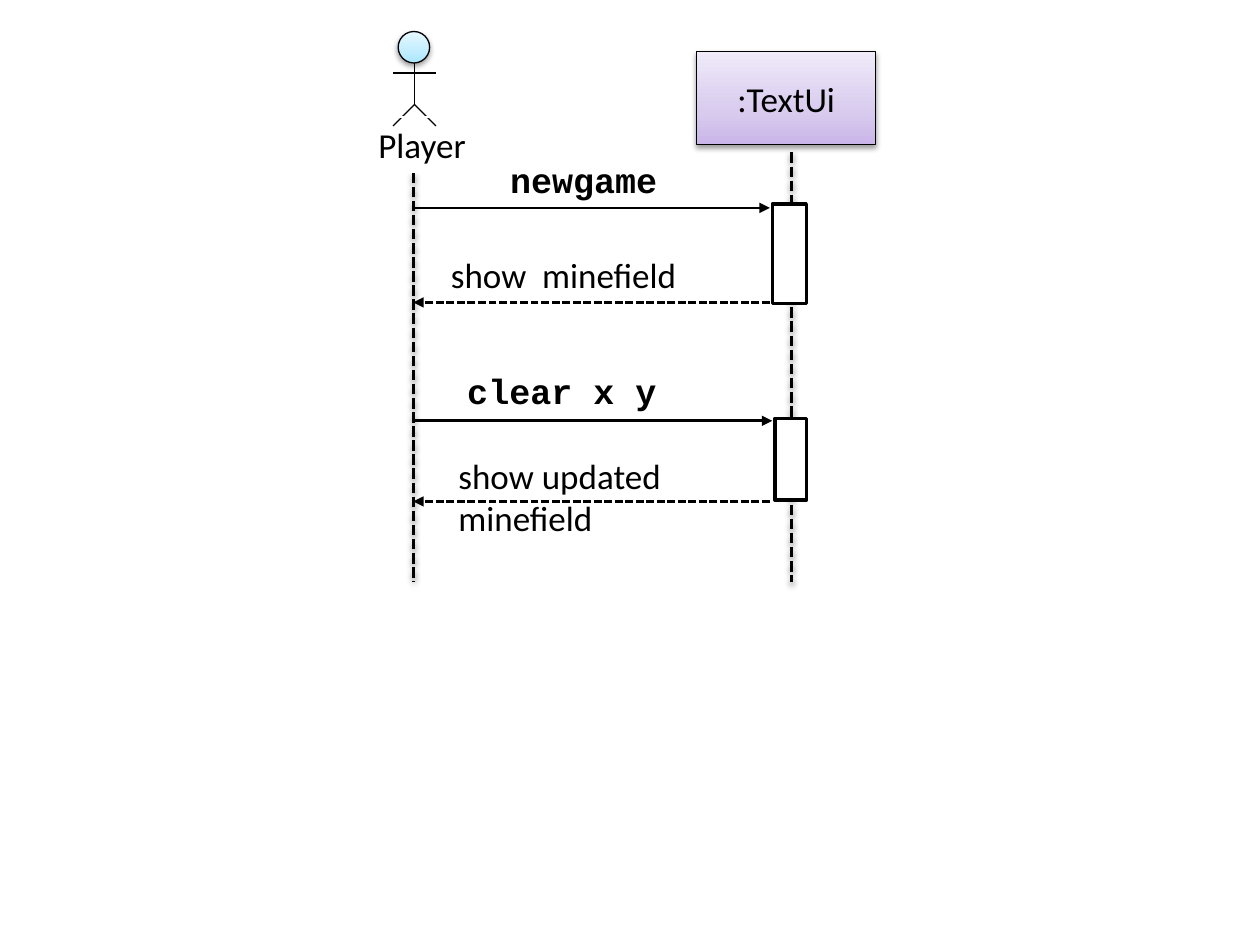
"""Draw the sequence diagram between the player and the text interface."""
from dataclasses import dataclass
from copy import deepcopy
from typing import Any, NamedTuple

from lxml import etree
from pptx import Presentation, util as u
from pptx.dml.color import RGBColor
from pptx.enum import dml, shapes, text
from pptx.oxml.ns import qn

SLIDE_WIDTH, SLIDE_HEIGHT = u.Inches(10), u.Inches(7.5)
COLUMNS, ROWS = 100, 75


@dataclass(frozen=True)
class Theme:
    """Colours, fonts and sizes of the diagram."""
    ink: str = "000000"
    paper: str = "FFFFFF"
    violet: tuple[str, ...] = ("C9B5E8", "D8CBEE", "F0EAF9")
    sky: tuple[str, ...] = ("A7E6FF", "C1EDFF", "E7F8FF")
    stops: tuple[float, ...] = (0, 0.35, 1)
    body: str = "Calibri"
    code: str = "Courier New"
    size: float = 20
    thin: float = 0.75
    medium: float = 1.5
    thick: float = 2


class Box(NamedTuple):
    """Left, top, width and height in grid units."""
    left: float
    top: float
    width: float
    height: float


class Message(NamedTuple):
    """One arrow and its label."""
    words: str
    label: Box
    start: float
    end: float
    row: float
    is_reply: bool


THEME = Theme()
PLAYER, INTERFACE = 32.8, 62.8
NECK = 32.9
LIFELINES = [(INTERFACE, 12.1), (PLAYER, 13.7)]
LIFELINE_END = 46.2
MESSAGES = [
    Message("newgame", Box(39.5, 12.1, 15.8, 4.4), PLAYER, 61.1, 16.5, False),
    Message("show  minefield", Box(34.8, 19.6, 20, 4.4), 61.1, PLAYER, 24, True),
    Message("clear x y", Box(36.1, 28.8, 30.1, 4.4), PLAYER, 61.3, 33.4, False),
    Message("show updated minefield", Box(35.4, 35.6, 24.7, 7.7), 61.1, PLAYER, 39.8, True),
]
ACTIVATIONS = [Box(61.3, 16.2, 2.7, 7.9), Box(61.5, 33.2, 2.5, 6.5)]
LIMBS = [
    (NECK, 4.1, NECK, 8.3),
    (NECK - 1.7, 5.8, NECK + 1.7, 5.8),
    (NECK, 8.3, NECK - 1.7, 10),
    (NECK, 8.3, NECK + 1.7, 10),
]


def column(count: float) -> int:
    """Return a horizontal length."""
    return round(SLIDE_WIDTH * count / COLUMNS)


def row(count: float) -> int:
    """Return a vertical length."""
    return round(SLIDE_HEIGHT * count / ROWS)


def place(box: Box) -> tuple[int, int, int, int]:
    """Return the position and size of a box on the slide."""
    return column(box.left), row(box.top), column(box.width), row(box.height)


def apply(target: Any, values: dict[str, Any]) -> None:
    """Set each named attribute of the target."""
    for name, value in values.items():
        setattr(target, name, value)


def set_effects(shape: Any, has_shadow: bool) -> None:
    """Give the shape a soft shadow below it, or none."""
    effects = etree.SubElement(shape._element.spPr, qn("a:effectLst"))
    if has_shadow:
        shadow = etree.SubElement(effects, qn("a:outerShdw"), blurRad="40000",
                                  dist="20000", dir="5400000", rotWithShape="0")
        color = etree.SubElement(shadow, qn("a:srgbClr"), val=THEME.ink)
        etree.SubElement(color, qn("a:alpha"), val="38000")


def set_line(shape: Any, width: float, color: str = THEME.ink) -> None:
    """Set the outline of a shape or connector."""
    shape.line.color.rgb = RGBColor.from_string(color)
    shape.line.width = u.Pt(width)


def set_gradient(shape: Any, colors: tuple[str, ...]) -> None:
    """Fill the shape with three colours from bottom to top."""
    shape.fill.gradient()
    shape.fill.gradient_angle = 90
    stop_list = shape._element.spPr.find(".//" + qn("a:gsLst"))
    stop_list.append(deepcopy(stop_list[-1]))
    for stop, position, color in zip(shape.fill.gradient_stops, THEME.stops, colors):
        stop.position = position
        stop.color.rgb = RGBColor.from_string(color)


def add_line(parent: Any, ends: tuple[float, float, float, float], width: float,
             is_dashed: bool = False, has_arrow: bool = False, has_shadow: bool = False) -> None:
    """Draw a straight line between two grid points."""
    left, top, right, bottom = ends
    line = parent.add_connector(shapes.MSO_CONNECTOR.STRAIGHT, column(left), row(top),
                                column(right), row(bottom))
    set_line(line, width)
    if is_dashed:
        line.line.dash_style = dml.MSO_LINE.SQUARE_DOT
    if has_arrow:
        etree.SubElement(line.line._get_or_add_ln(), qn("a:tailEnd"), type="triangle")
    set_effects(line, has_shadow)


def add_shape(parent: Any, box: Box, kind: Any, fill: str | tuple[str, ...] | None,
              width: float, line: str = THEME.ink) -> Any:
    """Draw a preset shape; a gradient fill brings a shadow."""
    shape = parent.add_shape(kind, *place(box))
    if fill is None:
        shape.fill.background()
    elif isinstance(fill, str):
        shape.fill.solid()
        shape.fill.fore_color.rgb = RGBColor.from_string(fill)
    else:
        set_gradient(shape, fill)
    set_line(shape, width, line)
    set_effects(shape, isinstance(fill, tuple))
    return shape


def write(shape: Any, words: str, is_code: bool = False, is_centred: bool = False,
          anchor: Any = text.MSO_ANCHOR.TOP) -> None:
    """Write one formatted paragraph in the shape."""
    frame = shape.text_frame
    apply(frame, {"word_wrap": True, "vertical_anchor": anchor, "text": words})
    paragraph = frame.paragraphs[0]
    paragraph.alignment = text.PP_ALIGN.CENTER if is_centred else text.PP_ALIGN.LEFT
    apply(paragraph.runs[0].font, {"name": THEME.code if is_code else THEME.body,
                                   "size": u.Pt(THEME.size), "bold": is_code})
    paragraph.runs[0].font.color.rgb = RGBColor.from_string(THEME.ink)


def add_message(parent: Any, message: Message) -> None:
    """Draw an arrow with its label."""
    add_line(parent, (message.start, message.row, message.end, message.row), THEME.medium,
             is_dashed=message.is_reply, has_arrow=True)
    write(parent.add_textbox(*place(message.label)), message.words, is_code=not message.is_reply)


def add_player(parent: Any) -> None:
    """Draw the stick figure as one group."""
    figure = parent.add_group_shape().shapes
    for limb in LIMBS:
        add_line(figure, limb, THEME.thin)
    add_shape(figure, Box(31.6, 2.5, 2.5, 2.5), shapes.MSO_SHAPE.OVAL, THEME.sky, THEME.thin)


def main() -> None:
    """Build and save the slide."""
    presentation = Presentation()
    apply(presentation, {"slide_width": SLIDE_WIDTH, "slide_height": SLIDE_HEIGHT})
    slide = presentation.slides.add_slide(presentation.slide_layouts[6])
    parent, rectangle = slide.shapes, shapes.MSO_SHAPE.RECTANGLE
    for position, start in LIFELINES:
        add_line(parent, (position, start, position, LIFELINE_END), THEME.thick,
                 is_dashed=True, has_shadow=True)
    interface = add_shape(parent, Box(55.3, 4.1, 14.2, 7.4), rectangle, THEME.violet, THEME.thin)
    write(interface, ":TextUi", is_centred=True, anchor=text.MSO_ANCHOR.MIDDLE)
    for message in MESSAGES:
        add_message(parent, message)
    add_player(parent)
    for activation in ACTIVATIONS:
        add_shape(parent, activation, rectangle, THEME.paper, THEME.thick)
    name = add_shape(parent, Box(27.6, 9.3, 11.8, 4.4), rectangle, None, THEME.thin, THEME.paper)
    write(name, "Player", is_centred=True)
    presentation.save("out.pptx")


if __name__ == "__main__":
    main()
